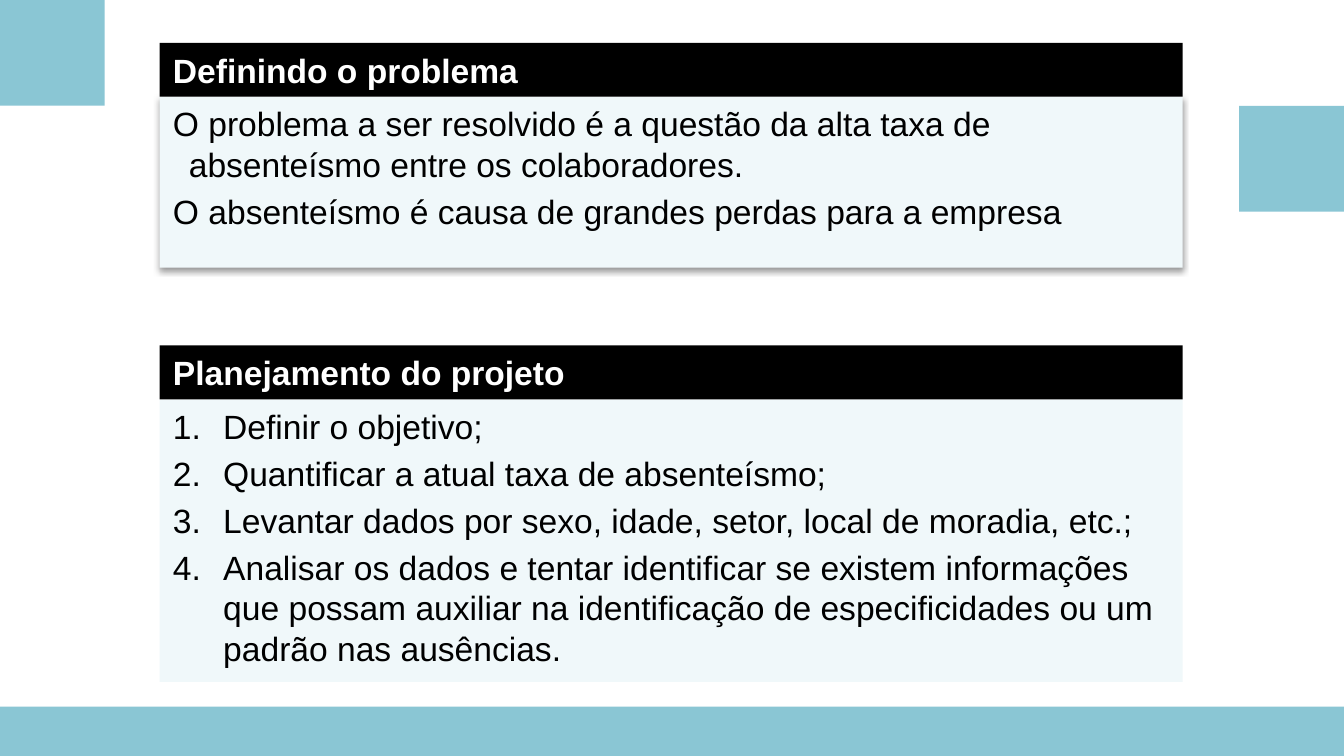
from dataclasses import dataclass
from lxml.etree import SubElement as Sub
from pptx import Presentation
from pptx.dml.color import RGBColor as Rgb
from pptx.enum.shapes import MSO_SHAPE as Kind
from pptx.enum.text import MSO_ANCHOR as Anchor, MSO_AUTO_SIZE as Fit, PP_ALIGN as Align
from pptx.oxml.ns import qn
from pptx.util import Cm, Pt


@dataclass(frozen=True)
class Theme:
    accent: str = "8AC6D4"
    panel: str = "F0F8FA"
    dark: str = "000000"
    light: str = "FFFFFF"
    font: str = "Arial"
    size: float = 18
    gap: float = 3.6


THEME = Theme()
WIDE, HIGH = 25.4, 14.29
HEAD = 1.02
PROBLEM = ["O problema a ser resolvido é a questão da alta taxa de absenteísmo entre os colaboradores.",
           "O absenteísmo é causa de grandes perdas para a empresa"]
STEPS = ["Definir o objetivo;",
         "Quantificar a atual taxa de absenteísmo;",
         "Levantar dados por sexo, idade, setor, local de moradia, etc.;",
         "Analisar os dados e tentar identificar se existem informações que possam "
         "auxiliar na identificação de especificidades ou um padrão nas ausências."]


def add_rect(slide, box, color):
    rect = slide.shapes.add_shape(Kind.RECTANGLE, *map(Cm, box))
    rect.shadow.inherit = False
    rect.fill.solid()
    rect.fill.fore_color.rgb = Rgb.from_string(color)
    rect.line.fill.background()
    return rect


def add_shade(rect):
    effects = rect._element.spPr.find(qn("a:effectLst"))
    shade = Sub(effects, qn("a:outerShdw"), blurRad=str(Pt(3.1)), dist=str(Pt(1.6)),
                dir="5400000", rotWithShape="0")
    color = Sub(shade, qn("a:srgbClr"), val=THEME.dark)
    Sub(color, qn("a:alpha"), val="38000")


def set_text(rect, lines, color, bold=False):
    frame = rect.text_frame
    frame.word_wrap = True
    frame.vertical_anchor = Anchor.TOP
    frame.text = "\n".join(lines)
    for para in frame.paragraphs:
        para.alignment = Align.LEFT
        font = para.runs[0].font
        font.name, font.size, font.bold = THEME.font, Pt(THEME.size), bold
        font.color.rgb = Rgb.from_string(color)
    return frame


def set_list(frame, indent, numbered):
    for para in frame.paragraphs:
        para.space_before = Pt(THEME.gap)
        props = para._p.get_or_add_pPr()
        props.set("marL", str(Cm(indent)))
        props.set("indent", str(-Cm(indent)))
        if numbered:
            tint = Sub(props, qn("a:buClr"))
            Sub(tint, qn("a:srgbClr"), val=THEME.dark)
            Sub(props, qn("a:buFont"), typeface=THEME.font)
            Sub(props, qn("a:buAutoNum"), type="arabicPeriod")


def add_panel(slide, box, title, lines, indent, numbered=False, shaded=False):
    left, top, width, height = box
    body = add_rect(slide, (left, top + HEAD, width, height - HEAD), THEME.panel)
    if shaded:
        add_shade(body)
    set_list(set_text(body, lines, THEME.dark), indent, numbered)
    head = add_rect(slide, (left, top, width, HEAD), THEME.dark)
    set_text(head, [title], THEME.light, True).auto_size = Fit.SHAPE_TO_FIT_TEXT


def add_decor(slide, box):
    left, top, width, height = box
    side, tall, foot = 1.98, 2, 0.93
    for part in ((left, top, side, tall),
                 (left, top + height - foot, width, foot),
                 (left + width - side, top + tall, side, tall)):
        add_rect(slide, part, THEME.accent)


def main():
    deck = Presentation()
    deck.slide_width, deck.slide_height = Cm(WIDE), Cm(HIGH)
    slide = deck.slides.add_slide(deck.slide_layouts[6])
    add_decor(slide, (0, 0, WIDE, HIGH))
    add_panel(slide, (3.02, 0.81, 19.33, 4.25), "Definindo o problema", PROBLEM, 0.3, shaded=True)
    add_panel(slide, (3.02, 6.53, 19.33, 6.36), "Planejamento do projeto", STEPS, 0.95, numbered=True)
    deck.save("out.pptx")


if __name__ == "__main__":
    main()
